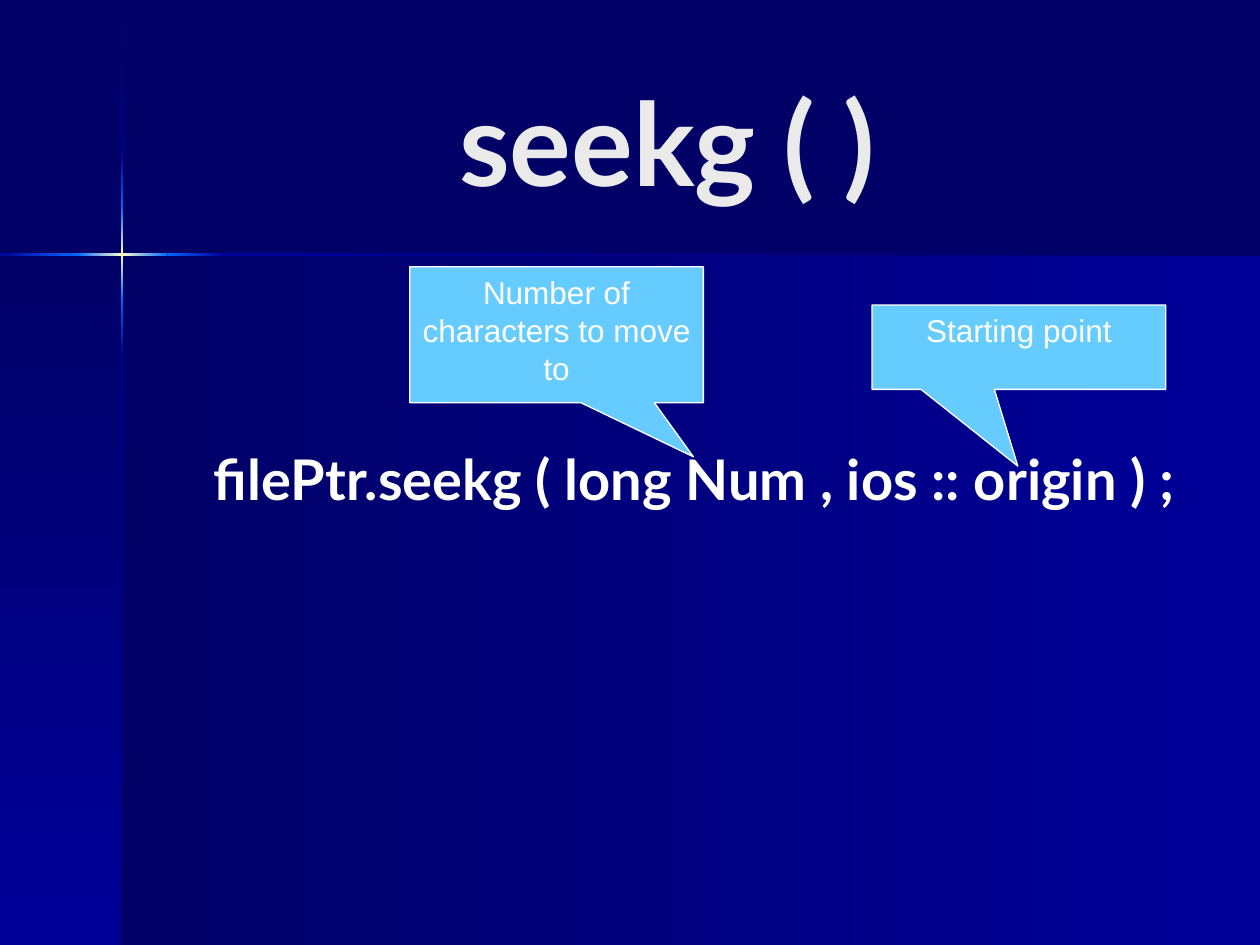
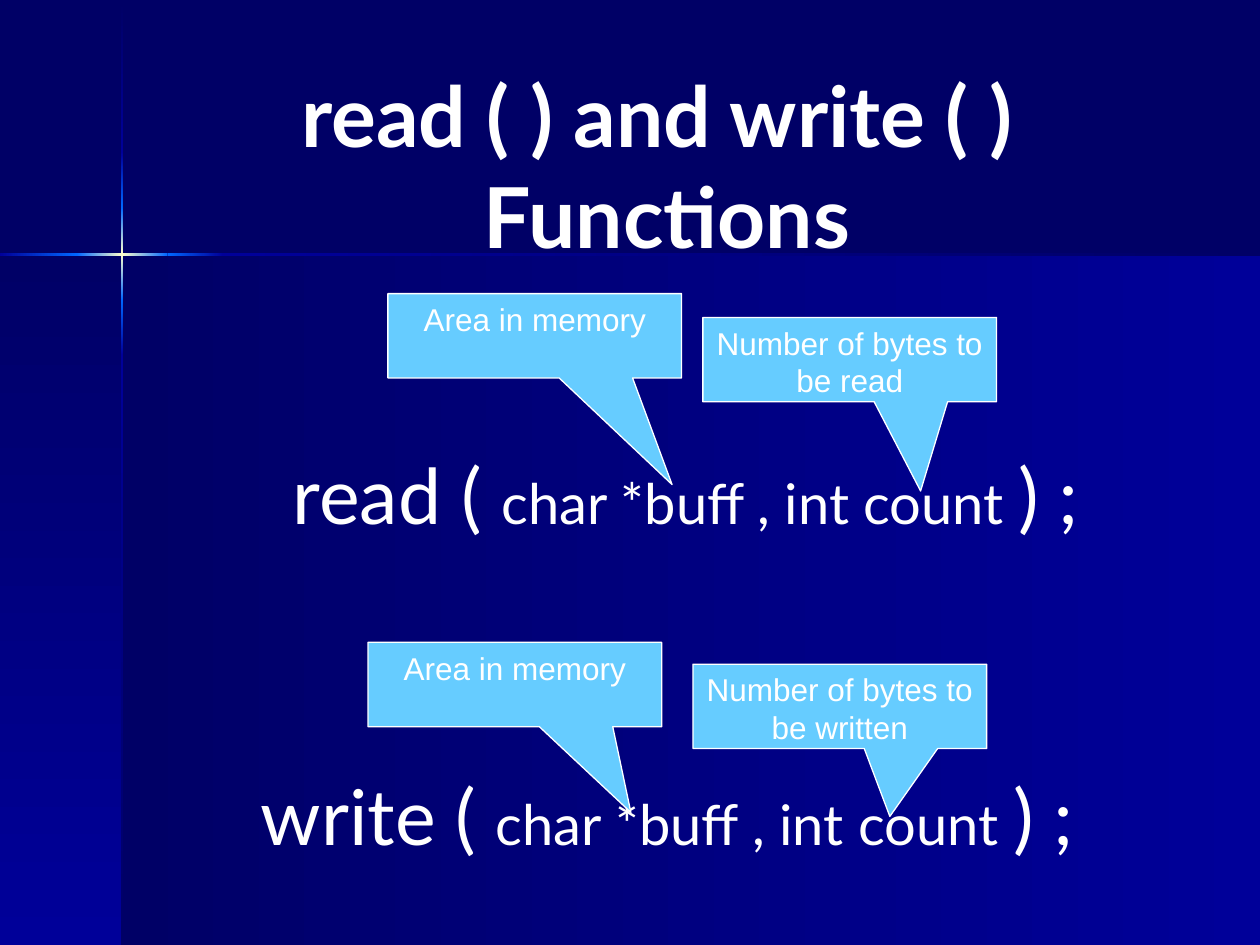
from copy import deepcopy

from lxml.etree import SubElement
from pptx import Presentation
from pptx.dml.color import RGBColor
from pptx.enum.shapes import MSO_SHAPE
from pptx.enum.text import MSO_ANCHOR, MSO_AUTO_SIZE, PP_ALIGN
from pptx.oxml.ns import qn
from pptx.util import Cm, Pt

HUES = {"dark": "000066", "blue": "000099", "glow": "0066FF", "star": "FFFFCC",
        "sky": "66CCFF", "white": "FFFFFF", "grey": "EAEAEA"}
WIDE, HIGH = 25.4, 19.05
CROSS = (2.46, 5.13)    # where the two rays meet
THICK = 0.05
FLARE = ["glow", "star", "glow"]
RISE, FALL = ["dark", "blue"], ["blue", "dark"]
GAIN, FADE = ["blue", "glow"], ["glow", "blue"]
# Each part of a ray: start, end, colours
ACROSS = [(0, 1.55, GAIN), (3.38, 4.5, FADE), (4.5, WIDE, FALL), (1.55, 3.38, FLARE)]
DOWN = [(0.03, 3.07, RISE), (7.16, HIGH, FALL), (6.05, 7.16, FADE),
        (3.07, 4.19, GAIN), (4.19, 6.05, FLARE)]

CALL_W, CALL_H = 5.92, 1.7
ARGS = ("char *buff , int count ", 32, False)
END = (") ;", 44, False)

# Lines: runs (text, size, bold), indent in cm, space before in points
# Calls: text, left, top, height, tip x, tip y
SLIDES = [
    {"title": ["seekg ( )"], "size": 66, "hue": "grey", "top": 0.84,
     "body": (2.79, 9.09, 22.43, 3.38), "pitch": 0.8,
     "lines": [([("filePtr.seekg ( long Num , ios :: origin ) ;", 32, True)], 0, 0)],
     "calls": [("Number of characters to move to", 8.26, 5.38, 2.74, 13.98, 9.21),
               ("Starting point", 17.58, 6.15, CALL_H, 20.52, 9.4)]},
    {"title": ["read ( ) and write ( ) ", "Functions"], "size": 48, "hue": "white",
     "top": 1.32, "body": (2.97, 8.89, 20.96, 9.25), "pitch": 1.0,
     "lines": [([("read ( ", 44, False), ARGS, END], 0.76, 0),
               ([("write ( ", 44, False), ARGS, END], 0, 131)],
     "calls": [("Area in memory", 7.82, 5.92, CALL_H, 13.55, 9.77),
               ("Number of bytes to be read", 14.17, 6.4, CALL_H, 18.56, 9.9),
               ("Area in memory", 7.42, 12.95, CALL_H, 12.72, 16.38),
               ("Number of bytes to be written", 13.97, 13.39, CALL_H, 17.94, 16.46)]},
]


def tint(name):
    return RGBColor.from_string(HUES[name])


def place(shape, left, top, width, height):
    shape.left, shape.top = Cm(left), Cm(top)
    shape.width, shape.height = Cm(width), Cm(height)


def write(para, text, size, hue, font="Lato", bold=False):
    run = para.add_run()
    run.text = text
    run.font.name, run.font.size, run.font.bold = font, Pt(size), bold
    run.font.color.rgb = tint(hue)


def band(slide, box, hues, upright):
    """Draw a bar whose colours run along it, evenly spaced."""
    bar = slide.shapes.add_shape(MSO_SHAPE.RECTANGLE, *map(Cm, box))
    bar.shadow.inherit = False
    bar.line.fill.background()
    bar.fill.gradient()
    bar.fill.gradient_angle = 270 if upright else 0
    stops = bar.element.spPr.find(".//" + qn("a:gsLst"))
    while len(stops) < len(hues):
        stops.append(deepcopy(stops[0]))
    for i, (stop, hue) in enumerate(zip(bar.fill.gradient_stops, hues)):
        stop.position = i / (len(hues) - 1)
        stop.color.rgb = tint(hue)
    return bar


def dress(master, slide):
    """Draw the bands and the crossed rays, then move them to the master."""
    x, y = CROSS
    edge = THICK / 2
    bars = [band(slide, (x, y, WIDE - x, HIGH - y), RISE, False),
            band(slide, (0, y, x, HIGH - y), RISE, True)]
    bars += [band(slide, (x - edge, a, THICK, b - a), hues, True) for a, b, hues in DOWN]
    bars += [band(slide, (a, y - edge, b - a, THICK), hues, False) for a, b, hues in ACROSS]
    tree = master.shapes.element
    for i, bar in enumerate(bars):
        tree.insert(2 + i, bar.element)
    master.background.fill.solid()
    master.background.fill.fore_color.rgb = tint("dark")


def head(slide, page):
    place(slide.shapes.title, 2.97, page["top"], 20.96, 3.99)
    frame = slide.shapes.title.text_frame
    frame.word_wrap, frame.auto_size = True, MSO_AUTO_SIZE.NONE
    frame.vertical_anchor = MSO_ANCHOR.MIDDLE
    para = frame.paragraphs[0]
    para.alignment = PP_ALIGN.CENTER
    for i, text in enumerate(page["title"]):
        if i:
            para.add_line_break()
        write(para, text, page["size"], page["hue"], bold=True)


def fill(slide, page):
    body = slide.placeholders[1]
    place(body, *page["body"])
    frame = body.text_frame
    frame.word_wrap, frame.auto_size = True, MSO_AUTO_SIZE.NONE
    for i, (runs, inset, gap) in enumerate(page["lines"]):
        para = frame.add_paragraph() if i else frame.paragraphs[0]
        para.alignment = PP_ALIGN.CENTER
        para.line_spacing, para.space_before = page["pitch"], Pt(gap)
        props = para._p.get_or_add_pPr()
        props.set("marL", str(Cm(inset)))
        props.set("indent", "0")
        SubElement(props, qn("a:buNone"))
        for text, size, bold in runs:
            write(para, text, size, "white", bold=bold)


def call(slide, text, left, top, high, tipx, tipy):
    """Add a callout that points at the tip."""
    shape = slide.shapes.add_shape(MSO_SHAPE.RECTANGULAR_CALLOUT,
                                   Cm(left), Cm(top), Cm(CALL_W), Cm(high))
    shape.adjustments[0] = (tipx - left) / CALL_W - 0.5
    shape.adjustments[1] = (tipy - top) / high - 0.5
    shape.shadow.inherit = False
    shape.fill.solid()
    shape.fill.fore_color.rgb = tint("sky")
    shape.line.color.rgb = tint("white")
    shape.line.width = Pt(0.75)
    frame = shape.text_frame
    frame.word_wrap, frame.vertical_anchor = True, MSO_ANCHOR.TOP
    frame.paragraphs[0].alignment = PP_ALIGN.CENTER
    write(frame.paragraphs[0], text, 18, "white", "Arial")


def main():
    prs = Presentation()
    prs.slide_width, prs.slide_height = Cm(WIDE), Cm(HIGH)
    for i, page in enumerate(SLIDES):
        slide = prs.slides.add_slide(prs.slide_layouts[1])
        if i == 0:
            dress(prs.slide_master, slide)
        head(slide, page)
        fill(slide, page)
        for item in page["calls"]:
            call(slide, *item)
    prs.save("out.pptx")


if __name__ == "__main__":
    main()
